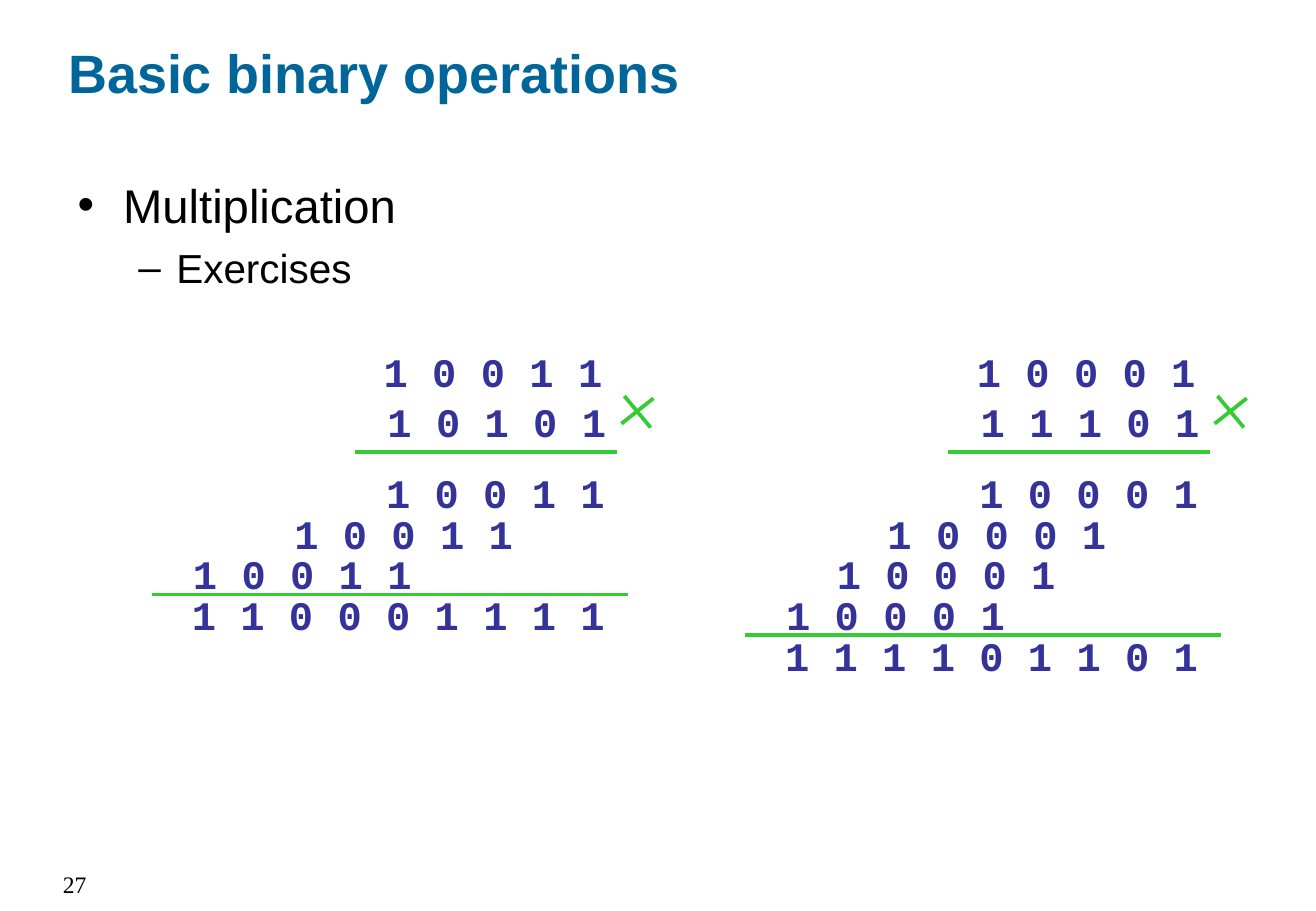
from lxml import etree
from pptx import Presentation
from pptx.dml.color import RGBColor
from pptx.enum import shapes, text
from pptx.oxml import ns
from pptx.util import Cm, Pt

COLORS = {"title": "006699", "body": "000000", "digits": "333399", "rule": "33CC33", "shade": "808080"}

deck = Presentation()
deck.slide_width, deck.slide_height = Cm(27.53), Cm(19.05)
slide = deck.slides.add_slide(deck.slide_layouts[1])


def write(words, frame, box=None, size=24, face="Arial", color="body", bold=False,
          align=text.PP_ALIGN.LEFT, anchor=text.MSO_ANCHOR.TOP, level=0, before=0,
          more=False, shaded=False):
    if box:
        frame.left, frame.top, frame.width, frame.height = [Cm(n) for n in box]
    frame = frame.text_frame
    frame.word_wrap = True
    frame.auto_size = text.MSO_AUTO_SIZE.NONE
    frame.vertical_anchor = anchor
    line = frame.add_paragraph() if more else frame.paragraphs[0]
    line.alignment, line.level, line.space_before = align, level, Pt(before)
    run = line.add_run()
    run.text = words
    run.font.size, run.font.bold = Pt(size), bold
    run.font.color.rgb = RGBColor.from_string(COLORS[color])
    if shaded:
        effects = etree.SubElement(run.font._element, ns.qn("a:effectLst"))
        shadow = etree.SubElement(effects, ns.qn("a:outerShdw"), dist="28400", dir="2700000")
        etree.SubElement(shadow, ns.qn("a:srgbClr"), val=COLORS["shade"])
    run.font.name = face


def draw_rule(x1, y1, x2, y2):
    rule = slide.shapes.add_connector(shapes.MSO_CONNECTOR.STRAIGHT, Cm(x1), Cm(y1), Cm(x2), Cm(y2))
    rule.line.color.rgb = RGBColor.from_string(COLORS["rule"])
    rule.line.width = Pt(2.25)
    etree.SubElement(rule._element.spPr, ns.qn("a:effectLst"))


write("Basic binary operations", slide.shapes.title, (1.17, 0.71, 23.01, 1.6),
      size=32, color="title", bold=True, anchor=text.MSO_ANCHOR.BOTTOM)

topics = slide.placeholders[1]
write("Multiplication", topics, (1.37, 3.56, 24.18, 2.69), size=28)
write("Exercises", topics, level=1, before=6, more=True)

page_number = slide.shapes.add_textbox(0, 0, 0, 0)
write("27", page_number, (0, 18.06, 2.06, 0.99), size=14, face="Times New Roman",
      align=text.PP_ALIGN.RIGHT)

exercises = [
    (0, "1 0 0 1 1", "1 0 1 0 1", [0, 2, 4], "1 1 0 0 0 1 1 1 1"),
    (12.41, "1 0 0 0 1", "1 1 1 0 1", [0, 2, 3, 4], "1 1 1 1 0 1 1 0 1"),
]
first_product_top, product_step, digit_step = 9.66, 0.85, 1.06

for offset, multiplicand, multiplier, places, result in exercises:
    rows = [(multiplicand, 12.85, 7.14), (multiplier, 12.93, 8.18)]
    for index, place in enumerate(places):
        shift = digit_step * place - 0.2 if place else 0
        rows.append((multiplicand, 12.9 - shift, first_product_top + product_step * index))
    result_top = first_product_top + product_step * len(places)
    rows.append((result, 12.9, result_top))

    for digits, right, top in rows:
        width = 10.36 if digits == result else 5.08
        row = slide.shapes.add_textbox(0, 0, 0, 0)
        write(digits, row, (offset + right - width, top, width, 1.27), face="Courier New",
              color="digits", bold=True, align=text.PP_ALIGN.RIGHT,
              anchor=text.MSO_ANCHOR.MIDDLE, shaded=True)

    for x1, y1, x2, y2 in [
        (13.06, 8.28, 13.61, 8.94),
        (13, 8.86, 13.67, 8.33),
        (7.42, 9.45, 12.9, 9.45),
        (3.18, result_top + 0.22, 13.13, result_top + 0.22),
    ]:
        draw_rule(offset + x1, y1, offset + x2, y2)

deck.save("out.pptx")
